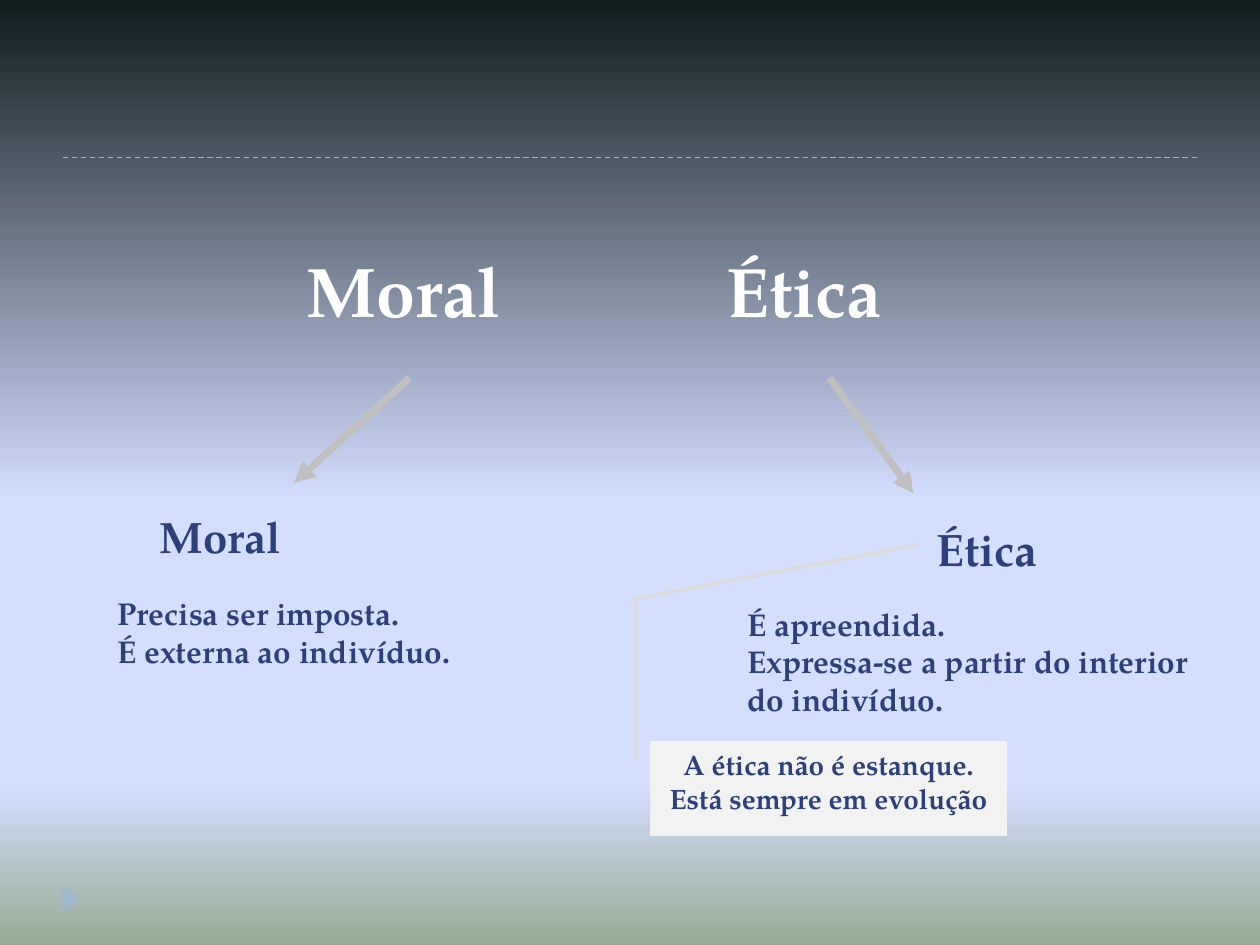
from copy import deepcopy
from dataclasses import dataclass
from typing import Optional

from pptx import Presentation
from pptx.dml.color import RGBColor
from pptx.enum.dml import MSO_LINE
from pptx.enum.shapes import MSO_CONNECTOR, MSO_SHAPE
from pptx.enum.text import MSO_ANCHOR, MSO_AUTO_SIZE, PP_ALIGN
from pptx.oxml.ns import qn
from pptx.util import Inches, Pt
from lxml.etree import SubElement

WHITE = RGBColor(0xFF, 0xFF, 0xFF)
NAVY = RGBColor(0x2E, 0x40, 0x7A)
STEEL = RGBColor(0x9F, 0xB8, 0xCD)
SILVER = RGBColor(0xC0, 0xC0, 0xC0)
PALE = RGBColor(0xF2, 0xF2, 0xF2)
MIST = RGBColor(0xDB, 0xDB, 0xDB)
SKY = RGBColor(0xD4, 0xDE, 0xFF)
NIGHT = RGBColor(0x10, 0x1B, 0x1D)
MOSS = RGBColor(0x96, 0xAB, 0x94)

FONT = "TeX Gyre Pagella"
COLS, ROWS = 120, 90
CELL = Inches(10) / COLS
STOPS = [(0, NIGHT), (0.53, SKY), (0.83, SKY), (1, MOSS)]


@dataclass
class Label:
    col: float
    row: float
    wide: float
    high: float
    size: int
    color: RGBColor
    lines: tuple


@dataclass
class Rule:
    start: tuple
    end: tuple
    color: RGBColor
    width: float
    dash: Optional[MSO_LINE] = None
    head: bool = False


LABELS = [
    Label(68, 23, 22, 9.2, 40, WHITE, ("Ética",)),
    Label(28, 23, 22, 9.2, 40, WHITE, ("Moral",)),
    Label(88, 49, 22, 6.4, 26, NAVY, ("Ética",)),
    Label(14, 48, 22, 6.2, 25, NAVY, ("Moral",)),
    Label(10, 56, 35, 8.4, 18, NAVY,
          ("Precisa ser imposta.", "É externa ao indivíduo.")),
    Label(70, 57, 45, 12, 18, NAVY,
          ("É apreendida.", "Expressa-se a partir do interior do indivíduo.")),
]
RULES = [
    Rule((6, 15), (114, 15), STEEL, 0.75, MSO_LINE.DASH),
    Rule((6, 83.4), (114, 83.4), STEEL, 0.75, MSO_LINE.DASH),
]
ARROWS = [
    Rule((39, 36), (28, 46), SILVER, 4, head=True),
    Rule((79, 36), (87, 47), SILVER, 4, head=True),
]
NOTE = Label(61.9, 70.6, 34, 9, 16, NAVY,
             ("A ética não é estanque. Está sempre em evolução",))
BENDS = (0.17, -0.03, 0.17, -0.04, -1.51, -0.04, -2.08, 0.75)


def grid(*cells: float) -> list:
    return [round(cell * CELL) for cell in cells]


def apply(item, style: dict) -> None:
    for name, value in style.items():
        setattr(item, name, value)


def paint(slide) -> None:
    fill = slide.background.fill
    fill.gradient()
    fill.gradient_angle = 270
    stops = next(slide.element.iter(qn("a:gsLst")))
    while len(stops) < len(STOPS):
        stops.append(deepcopy(stops[0]))
    for stop, (place, color) in zip(fill.gradient_stops, STOPS):
        stop.position = place
        stop.color.rgb = color


def write(shape, label: Label, align=None) -> None:
    frame = shape.text_frame
    frame.word_wrap = True
    frame.text = "\n".join(label.lines)
    style = {"name": FONT, "size": Pt(label.size), "bold": True}
    for para in frame.paragraphs:
        para.alignment = align
        font = para.runs[0].font
        apply(font, style)
        font.color.rgb = label.color


def draw_label(slide, label: Label) -> None:
    box = slide.shapes.add_textbox(
        *grid(label.col, label.row, label.wide, label.high))
    write(box, label)
    box.text_frame.auto_size = MSO_AUTO_SIZE.SHAPE_TO_FIT_TEXT


def draw_rule(slide, rule: Rule) -> None:
    link = slide.shapes.add_connector(
        MSO_CONNECTOR.STRAIGHT, *grid(*rule.start, *rule.end))
    link.line.color.rgb = rule.color
    apply(link.line, {"width": Pt(rule.width), "dash_style": rule.dash})
    if rule.head:
        line = link.line._get_or_add_ln()
        SubElement(line, qn("a:tailEnd"), type="triangle")
    SubElement(link._element.spPr, qn("a:effectLst"))


def draw_mark(slide) -> None:
    mark = slide.shapes.add_shape(
        MSO_SHAPE.ISOSCELES_TRIANGLE, *grid(5.5, 84.8, 2.5, 1.6))
    mark.rotation = 90
    mark.shadow.inherit = False
    mark.fill.solid()
    mark.fill.fore_color.rgb = STEEL
    mark.line.fill.background()


def draw_note(slide, label: Label) -> None:
    note = slide.shapes.add_shape(
        MSO_SHAPE.LINE_CALLOUT_3_NO_BORDER,
        *grid(label.col, label.row, label.wide, label.high))
    for place, bend in enumerate(BENDS):
        note.adjustments[place] = bend
    note.shadow.inherit = False
    note.fill.solid()
    note.fill.fore_color.rgb = PALE
    note.line.color.rgb = MIST
    note.line.width = Pt(2)
    write(note, label, PP_ALIGN.CENTER)
    note.text_frame.vertical_anchor = MSO_ANCHOR.TOP


def main() -> None:
    deck = Presentation()
    apply(deck, dict(zip(("slide_width", "slide_height"), grid(COLS, ROWS))))
    slide = deck.slides.add_slide(deck.slide_layouts[6])
    paint(slide)
    for rule in RULES:
        draw_rule(slide, rule)
    draw_mark(slide)
    for label in LABELS:
        draw_label(slide, label)
    for arrow in ARROWS:
        draw_rule(slide, arrow)
    draw_note(slide, NOTE)
    deck.save("out.pptx")


if __name__ == "__main__":
    main()
